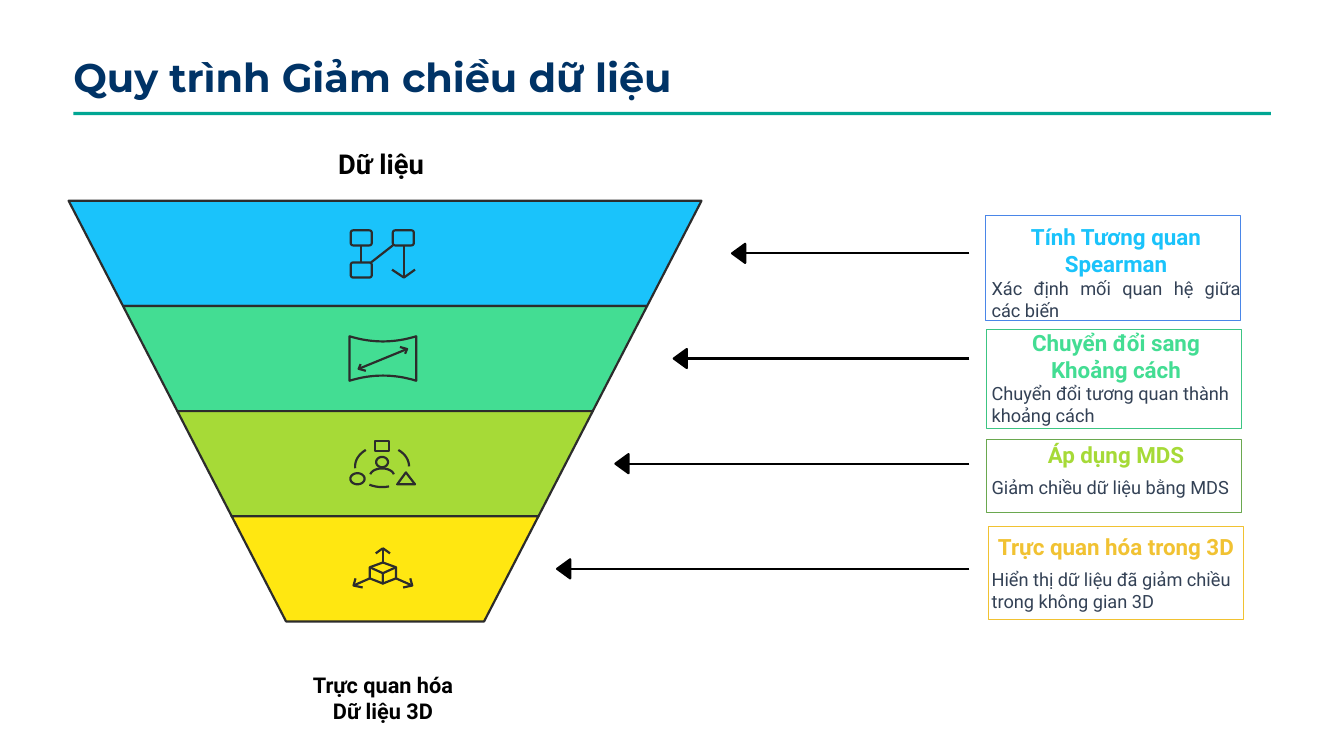
import math

from lxml import etree
from pptx import Presentation
from pptx.dml import color
from pptx.enum import shapes, text
from pptx.oxml import ns
from pptx.util import Cm, Pt

INK = "2C2C2C"
BLACK = "000000"
WHITE = "FFFFFF"
STROKE = 1.56
FUNNEL_TOP = 5.06
BAND_HEIGHT = 2.65
BAND_INSET = 1.37
FUNNEL_LEFT, FUNNEL_RIGHT = 1.73, 17.68
ICON_X = 9.65
TEXT_LEFT, TEXT_WIDTH = 24.99, 6.27

STEPS = [
    dict(band="1AC3FB", accent="1AC3FB", border="4A86E8", box=(24.84, 5.44, 6.43, 2.64),
         title="Tính Tương quan\nSpearman", title_top=5.59, title_height=1.42,
         body="Xác định mối quan hệ giữa\ncác biến", body_top=6.99, align="JUSTIFY"),
    dict(band="43DD93", accent="43DD93", border="3CC583", box=(24.87, 8.31, 6.43, 2.49),
         title="Chuyển đổi sang\nKhoảng cách", title_top=8.26, title_height=1.42,
         body="Chuyển đổi tương quan thành\nkhoảng cách", body_top=9.63, align="LEFT"),
    dict(band="A6DA37", accent="A6DA37", border="6AA84F", box=(24.87, 11.07, 6.43, 1.85),
         title="Áp dụng MDS", title_top=11.1, title_height=0.71,
         body="Giảm chiều dữ liệu bằng MDS", body_top=12.01, align="LEFT"),
    dict(band="FFE711", accent="F1C232", border="F1C232", box=(24.92, 13.28, 6.43, 2.34),
         title="Trực quan hóa trong 3D", title_top=13.41, title_height=0.71,
         body="Hiển thị dữ liệu đã giảm chiều\ntrong không gian 3D", body_top=14.33, align="LEFT"),
]


def rgb(value):
    return color.RGBColor.from_string(value)


def paint(shape, fill=None, line=None, width=STROKE):
    shape.shadow.inherit = False
    if fill:
        shape.fill.solid()
        shape.fill.fore_color.rgb = rgb(fill)
    else:
        shape.fill.background()
    if line:
        shape.line.color.rgb = rgb(line)
        shape.line.width = Pt(width)
    else:
        shape.line.fill.background()


def add_box(slide, left, top, width, height, fill, line=None):
    shape = slide.shapes.add_shape(
        shapes.MSO_SHAPE.RECTANGLE, Cm(left), Cm(top), Cm(width), Cm(height))
    paint(shape, fill, line, 0.75)


def add_text(slide, box, words, size, ink, font="Roboto", bold=False, align="LEFT", anchor="TOP"):
    frame = slide.shapes.add_textbox(*[Cm(length) for length in box]).text_frame
    frame.word_wrap = True
    frame.margin_left = frame.margin_right = frame.margin_top = frame.margin_bottom = 0
    frame.vertical_anchor = getattr(text.MSO_ANCHOR, anchor)
    paragraph = frame.paragraphs[0]
    paragraph.text = words.replace("\n", "\v")
    paragraph.alignment = getattr(text.PP_ALIGN, align)
    paragraph.font.name = font
    paragraph.font.size = Pt(size)
    paragraph.font.bold = bold
    paragraph.font.color.rgb = rgb(ink)


def add_outline(slide, strokes, fill=None, line=INK, origin=(0, 0)):
    placed = [[(Cm(x + origin[0]), Cm(y + origin[1])) for x, y in stroke] for stroke in strokes]
    builder = slide.shapes.build_freeform(*placed[0][0])
    for number, points in enumerate(placed):
        if number:
            builder.move_to(*points[0])
        closed = points[0] == points[-1]
        builder.add_line_segments(points[1:-1] if closed else points[1:], close=closed)
    paint(builder.convert_to_shape(), fill, line)


def add_arrow(slide, tip, tail, y):
    connector = slide.shapes.add_connector(
        shapes.MSO_CONNECTOR.STRAIGHT, Cm(tail), Cm(y), Cm(tip), Cm(y))
    connector.line.color.rgb = rgb(BLACK)
    connector.line.width = Pt(STROKE)
    etree.SubElement(connector._element.spPr, ns.qn("a:effectLst"))
    head = [(tip, y), (tip + 0.33, y - 0.24), (tip + 0.33, y + 0.24), (tip, y)]
    add_outline(slide, [head], BLACK, BLACK)


def arc(x, y, radius_x, radius_y, start=0, end=360, steps=24):
    angles = [math.radians(start + (end - start) * i / steps) for i in range(steps + 1)]
    return [(x + radius_x * math.cos(a), y + radius_y * math.sin(a)) for a in angles]


def rounded_box(left, top, width=0.53, height=0.38, radius=0.06):
    x1, x2 = left + radius, left + width - radius
    y1, y2 = top + radius, top + height - radius
    corners = [(x2, y2), (x1, y2), (x1, y1), (x2, y1)]
    points = []
    for number, (x, y) in enumerate(corners):
        points += arc(x, y, radius, radius, 90 * number, 90 * number + 90, 4)
    return points + points[:1]


def mirrored(strokes):
    return strokes + [[(-x, y) for x, y in stroke] for stroke in strokes]


def flow_icon():
    return [
        rounded_box(-0.81, -0.58), rounded_box(0.25, -0.58), rounded_box(-0.81, 0.23),
        [(-0.56, -0.2), (-0.56, 0.23)], [(0.53, -0.2), (0.53, 0.61)],
        [(0.25, -0.2), (-0.3, 0.23)], [(0.23, 0.41), (0.53, 0.61), (0.81, 0.41)],
    ]


def distance_icon():
    edge = [(0.84 * i / 8, -0.43 - 0.13 * (i / 8) ** 2) for i in range(-8, 9)]
    frame = edge + [(x, -y) for x, y in reversed(edge)] + edge[:1]
    return [
        frame, [(-0.61, 0.26), (0.61, -0.24)],
        [(0.43, -0.29), (0.61, -0.24), (0.56, -0.12)],
        [(-0.56, 0.14), (-0.61, 0.26), (-0.43, 0.31)],
    ]


def scaling_icon():
    orbit = [arc(-0.02, 0.07, 0.68, 0.52, start, end)
             for start, end in [(307, 360), (175, 233), (75, 118)]]
    return orbit + [
        arc(-0.02, -0.04, 0.15, 0.13), arc(-0.02, 0.3, 0.3, 0.18, 190, 350),
        arc(-0.64, 0.38, 0.18, 0.14),
        [(-0.2, -0.57), (0.15, -0.57), (0.15, -0.32), (-0.2, -0.32), (-0.2, -0.57)],
        [(0.36, 0.52), (0.58, 0.22), (0.81, 0.52), (0.36, 0.52)],
    ]


def cube_icon():
    half = [
        [(0, -0.16), (-0.33, -0.04)], [(-0.33, 0.24), (-0.74, 0.42)],
        [(0, -0.52), (-0.18, -0.39)], [(-0.51, 0.47), (-0.74, 0.42), (-0.69, 0.24)],
        [(0, 0.37), (-0.33, 0.24), (-0.33, -0.04), (0, 0.11), (0, 0.37)],
    ]
    return mirrored(half) + [[(0, -0.49), (0, -0.16)]]


def add_band(slide, number, fill, icon):
    top = FUNNEL_TOP + BAND_HEIGHT * number
    left = FUNNEL_LEFT + BAND_INSET * number
    right = FUNNEL_RIGHT - BAND_INSET * number
    bottom = top + BAND_HEIGHT
    middle = top + BAND_HEIGHT / 2
    add_outline(slide, [[(left, top), (left + BAND_INSET, bottom),
                         (right - BAND_INSET, bottom), (right, top), (left, top)]], fill)
    add_outline(slide, icon, origin=(ICON_X, middle))
    add_arrow(slide, 18.45 - 1.47 * number, 24.43, middle)


def add_step(slide, step):
    add_box(slide, *step["box"], WHITE, step["border"])
    add_text(slide, (TEXT_LEFT, step["title_top"], TEXT_WIDTH, step["title_height"]),
             step["title"], 16, step["accent"], bold=True, align="CENTER", anchor="MIDDLE")
    add_text(slide, (TEXT_LEFT, step["body_top"], TEXT_WIDTH, 1.12),
             step["body"], 13, "334155", align=step["align"])


def main():
    presentation = Presentation()
    presentation.slide_width, presentation.slide_height = Cm(33.87), Cm(19.05)
    slide = presentation.slides.add_slide(presentation.slide_layouts[6])
    add_text(slide, (1.85, 1.32, 31.67, 1.22), "Quy trình Giảm chiều dữ liệu",
             28.5, "003366", font="Montserrat", bold=True)
    add_box(slide, 1.85, 2.82, 30.18, 0.08, "00A693")
    add_text(slide, (7.28, 3.71, 4.65, 0.84), "Dữ liệu", 19.5, BLACK, bold=True, align="CENTER")
    icons = [flow_icon(), distance_icon(), scaling_icon(), cube_icon()]
    for number, (step, icon) in enumerate(zip(STEPS, icons)):
        add_band(slide, number, step["band"], icon)
    for step in reversed(STEPS):
        add_step(slide, step)
    add_text(slide, (7.67, 16.94, 3.96, 1.32), "Trực quan hóa\nDữ liệu 3D",
             15.5, BLACK, bold=True, align="CENTER")
    presentation.save("out.pptx")


if __name__ == "__main__":
    main()
